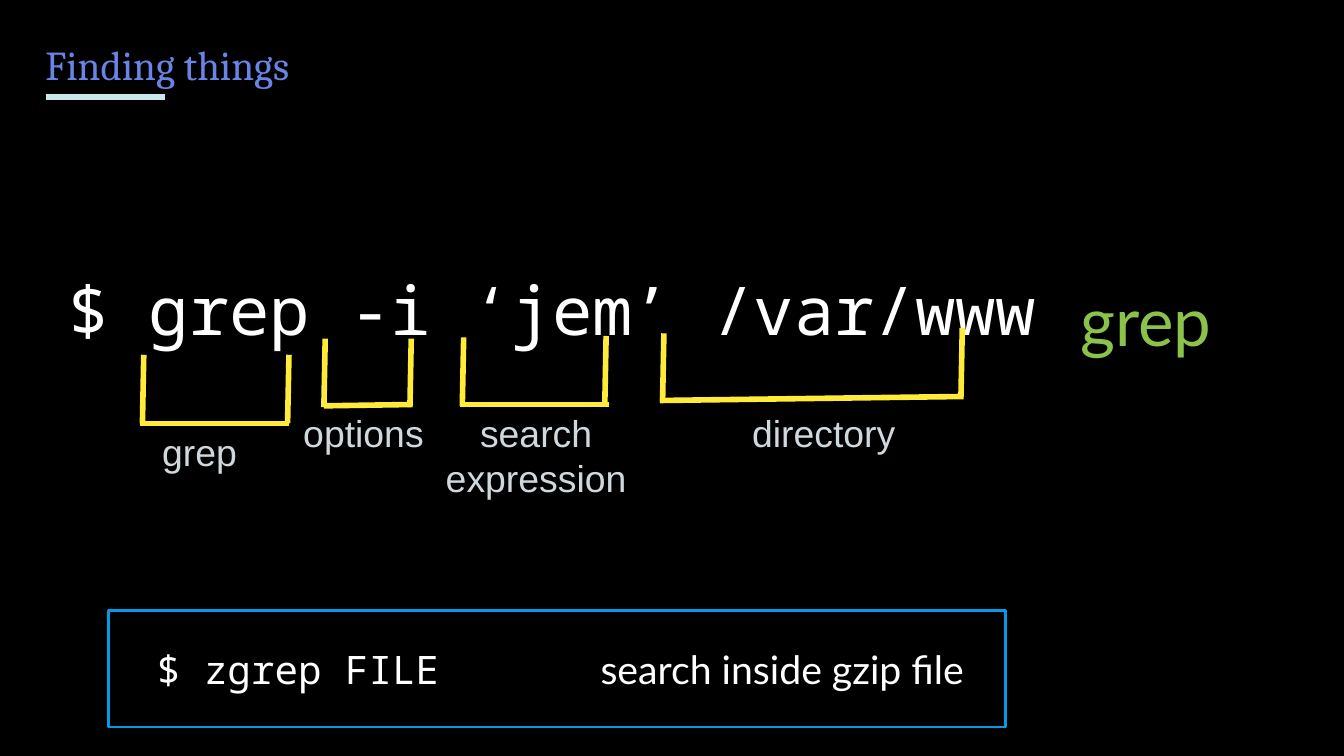
from pptx import Presentation
from pptx.dml.color import RGBColor
from pptx.enum.shapes import MSO_CONNECTOR, MSO_SHAPE
from pptx.enum.text import MSO_ANCHOR, PP_ALIGN
from pptx.oxml.ns import qn
from pptx.util import Inches, Pt
from lxml import etree

BLACK = RGBColor(0x00, 0x00, 0x00)
WHITE = RGBColor(0xFF, 0xFF, 0xFF)
TITLE_BLUE = RGBColor(0x6A, 0x84, 0xE6)
PALE_CYAN = RGBColor(0xCA, 0xE7, 0xED)
GREEN = RGBColor(0x8B, 0xC3, 0x4A)
YELLOW = RGBColor(0xFF, 0xEB, 0x38)
LABEL_GREY = RGBColor(0xCF, 0xD8, 0xDC)
FRAME_BLUE = RGBColor(0x03, 0x9B, 0xE5)
MONO = "Noto Sans Mono"
SLIDE_WIDTH = 10
ARM_HEIGHT, ARM_LEAN = 0.51, 0.01


def write(shape, text, size, font, color, align=PP_ALIGN.LEFT,
          anchor=MSO_ANCHOR.TOP, line_spacing=None):
    frame = shape.text_frame
    frame.word_wrap = True
    frame.vertical_anchor = anchor
    frame.margin_left = frame.margin_right = Inches(0.1)
    frame.margin_top = frame.margin_bottom = Inches(0.1)
    frame.text = text
    for paragraph in frame.paragraphs:
        paragraph.alignment = align
        if line_spacing:
            paragraph.line_spacing = line_spacing
            paragraph.space_after = Pt(16)
        for run in paragraph.runs:
            run.font.size = Pt(size)
            run.font.name = font
            run.font.color.rgb = color


def add_text(slide, box, text, size, font, color, **layout):
    shape = slide.shapes.add_textbox(*map(Inches, box))
    write(shape, text, size, font, color, **layout)


def add_rectangle(slide, box):
    shape = slide.shapes.add_shape(MSO_SHAPE.RECTANGLE, *map(Inches, box))
    shape.shadow.inherit = False
    return shape


def add_line(slide, start, end, color):
    line = slide.shapes.add_connector(
        MSO_CONNECTOR.STRAIGHT, *map(Inches, (*start, *end)))
    line.line.color.rgb = color
    line.line.width = Pt(3)
    etree.SubElement(line._element.spPr, qn("a:effectLst"))


def add_title(slide, left, top):
    add_line(slide, (left + 0.1, top + 0.58), (left + 0.99, top + 0.58), PALE_CYAN)
    add_text(slide, (left, top, 3.04, 0.52), "Finding things", 22, "Cambria",
             TITLE_BLUE, line_spacing=1.15)


def add_command(slide, left, top):
    add_text(slide, (left + 7.53, top, 1.81, 0.91), "grep", 36, "Lato", GREEN,
             line_spacing=1.15)
    command = add_rectangle(slide, (left, top, 7.45, 0.81))
    command.fill.solid()
    command.fill.fore_color.rgb = BLACK
    command.line.fill.background()
    write(command, "$ grep -i ‘jem’ /var/www", 36, MONO, WHITE,
          anchor=MSO_ANCHOR.MIDDLE)


def add_bracket(slide, arm_tops, base, label, label_box):
    for x, y in arm_tops:
        add_line(slide, (x, y), (x - ARM_LEAN, y + ARM_HEIGHT), YELLOW)
    add_line(slide, *base, YELLOW)
    add_text(slide, label_box, label, 20, "Arial", LABEL_GREY,
             align=PP_ALIGN.CENTER)


def add_tip(slide, left, top, width, height):
    text_top = top + 0.16
    add_text(slide, (left + 0.26, text_top, 3.04, 0.43), "$ zgrep FILE",
             21, MONO, WHITE)
    add_text(slide, (left + 3.56, text_top, 3.54, 0.64),
             "search inside gzip file", 21, "Lato", WHITE)
    frame = add_rectangle(slide, (left, top, width, height))
    frame.fill.background()
    frame.line.color.rgb = FRAME_BLUE
    frame.line.width = Pt(1.5)


# Arm tops, base ends, label and label box of each command part
BRACKETS = [
    (((1.07, 2.64), (2.15, 2.64)), ((1.04, 3.15), (2.15, 3.15)),
     "grep", (0.98, 3.09, 1.01, 0.51)),
    (((2.42, 2.52), (3.06, 2.52)), ((2.41, 3.02), (3.06, 3.01)),
     "options", (2.15, 2.95, 1.11, 0.51)),
    (((3.45, 2.51), (4.51, 2.5)), ((3.42, 3.01), (4.53, 3.01)),
     "search\nexpression", (3.21, 2.95, 1.56, 0.51)),
    (((4.94, 2.48), (7.16, 2.44)), ((4.91, 2.98), (7.17, 2.95)),
     "directory", (5.35, 2.95, 1.56, 0.51)),
]


def main():
    # Widescreen slide, 16:9
    presentation = Presentation()
    presentation.slide_width = Inches(SLIDE_WIDTH)
    presentation.slide_height = Inches(SLIDE_WIDTH * 9 / 16)
    slide = presentation.slides.add_slide(presentation.slide_layouts[6])
    slide.background.fill.solid()
    slide.background.fill.fore_color.rgb = BLACK

    add_title(slide, 0.24, 0.14)
    add_command(slide, 0.41, 1.89)
    for bracket in BRACKETS:
        add_bracket(slide, *bracket)
    add_tip(slide, 0.81, 4.54, 6.67, 0.87)
    presentation.save("out.pptx")


if __name__ == "__main__":
    main()
